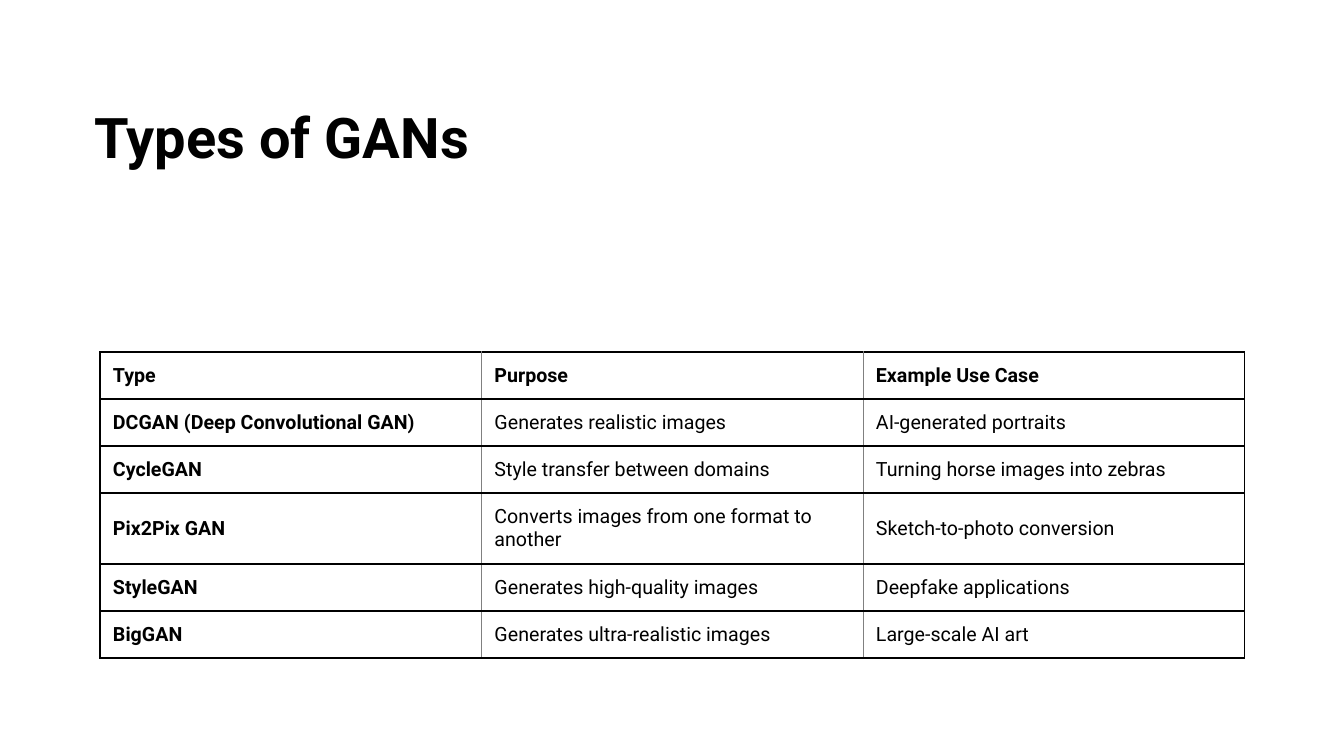
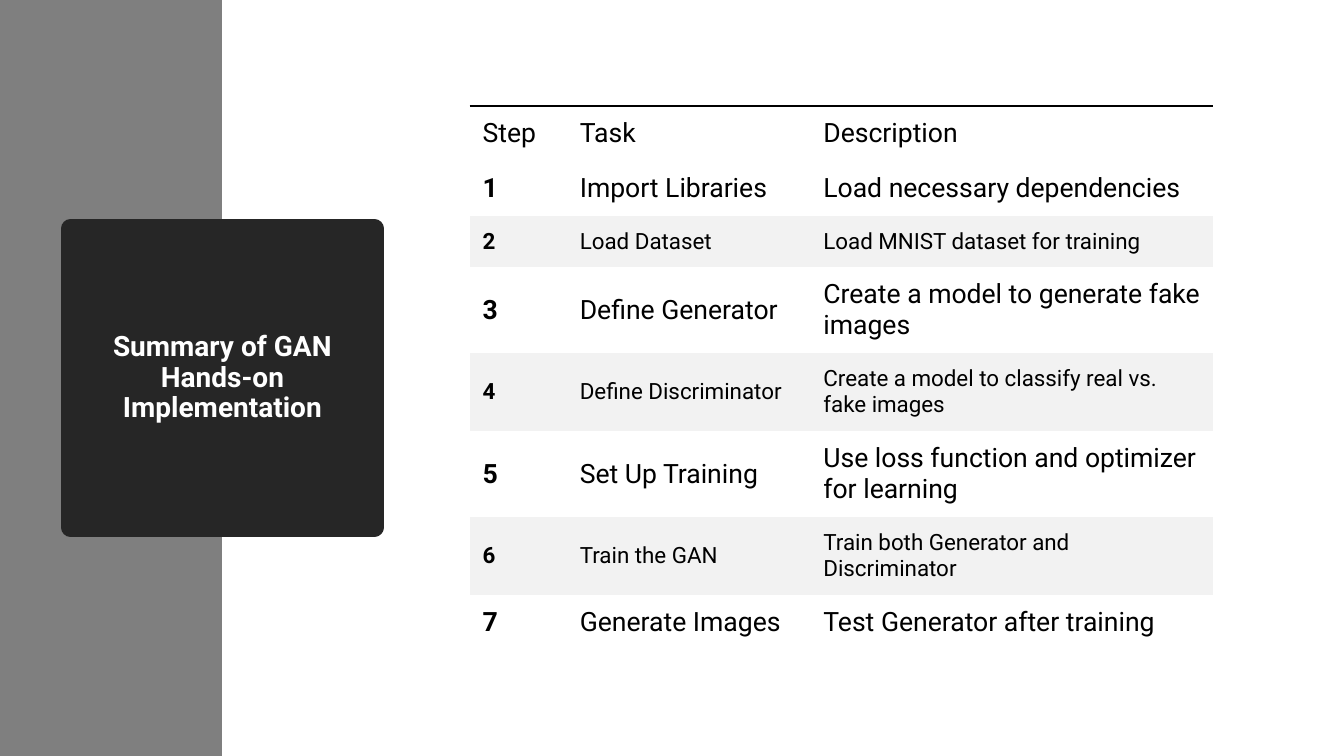
"""Build two slides about GANs: a table of types and a summary of steps."""
import pptx
import pptx.dml.color
import pptx.enum.shapes
import pptx.enum.text
import pptx.oxml
import pptx.oxml.ns
import pptx.util

Pt = pptx.util.Pt
hue = pptx.dml.color.RGBColor.from_string
MIDDLE = pptx.enum.text.MSO_ANCHOR.MIDDLE
RECT = pptx.enum.shapes.MSO_SHAPE.RECTANGLE
BLACK, WHITE, GREY = "000000", "FFFFFF", "808080"
BAND, DARK, SIDE = "F2F2F2", "262626", "7F7F7F"
FONT = "Roboto"


def write(frame, text, size, color, bold):
    """Fill a text frame with one styled paragraph and return it."""
    frame.text = text
    frame.word_wrap = True
    frame.vertical_anchor = MIDDLE
    line = frame.paragraphs[0]
    font = line.runs[0].font
    font.name, font.size, font.bold = FONT, Pt(size), bold
    font.color.rgb = hue(color)
    return line


def grid(page, data, spot, widths, heights, pads, look):
    """Add a table; look(row, col) gives size, bold, fill and borders."""
    left, top = spot
    table = page.shapes.add_table(
        len(data), len(widths), Pt(left), Pt(top),
        Pt(sum(widths)), Pt(sum(heights))).table
    table.first_row = table.horz_banding = False
    for col, width in zip(table.columns, widths):
        col.width = Pt(width)
    for row, height in zip(table.rows, heights):
        row.height = Pt(height)
    for r, texts in enumerate(data):
        for c, text in enumerate(texts):
            cell = table.cell(r, c)
            size, bold, fill, rims = look(r, c)
            write(cell.text_frame, text, size, BLACK, bold)
            cell.vertical_anchor = MIDDLE
            (cell.margin_left, cell.margin_top,
             cell.margin_right, cell.margin_bottom) = map(Pt, pads)
            cell.fill.solid()
            cell.fill.fore_color.rgb = hue(fill)
            props = cell._tc.get_or_add_tcPr()
            for i, side in enumerate("LRTB"):
                color, width = rims.get(side, (None, 0))
                paint = "<a:noFill/>"
                if color:
                    paint = f'<a:solidFill><a:srgbClr val="{color}"/></a:solidFill>'
                props.insert(i, pptx.oxml.parse_xml(
                    f'<a:ln{side} {pptx.oxml.ns.nsdecls("a")} w="{Pt(width)}">'
                    f'{paint}</a:ln{side}>'))


deck = pptx.Presentation()
deck.slide_width, deck.slide_height = Pt(960), Pt(540)
blank = deck.slide_layouts[6]
first, second = [deck.slides.add_slide(blank) for _ in range(2)]

blocks = []
for page, color, edge, box in [
        (first, WHITE, 0, (0, 0, 960, 200)),
        (second, SIDE, 0, (0, 0, 158.6, 540)),
        (second, DARK, 13.75, (50.4, 163.4, 217, 213.2))]:
    block = page.shapes.add_shape(RECT, *map(Pt, box))
    block.shadow.inherit = False
    block.fill.solid()
    block.fill.fore_color.rgb = hue(color)
    if edge:
        block.line.color.rgb = hue(color)
        block.line.width = Pt(edge)
    else:
        block.line.fill.background()
    blocks.append(block)

title = first.shapes.add_textbox(Pt(60.2), Pt(36.6), Pt(785), Pt(127.5))
line = write(title.text_frame, "Types of GANs", 40, BLACK, True)
line.line_spacing = 0.9

kinds = [
    ("Type", "Purpose", "Example Use Case"),
    ("DCGAN (Deep Convolutional GAN)", "Generates realistic images",
     "AI-generated portraits"),
    ("CycleGAN", "Style transfer between domains",
     "Turning horse images into zebras"),
    ("Pix2Pix GAN", "Converts images from one format to another",
     "Sketch-to-photo conversion"),
    ("StyleGAN", "Generates high-quality images", "Deepfake applications"),
    ("BigGAN", "Generates ultra-realistic images", "Large-scale AI art"),
]
thick, thin = (BLACK, 1.5), (GREY, 0.5)
grid(first, kinds, (71.4, 251.5), [272.5] * 3,
     [33.65, 33.65, 33.65, 50.4, 33.65, 33.65], (9.3, 7.2, 7.2, 7.2),
     lambda r, c: (14, r == 0 or c == 0, WHITE, {
         "L": thin if c else thick, "R": thin if c < 2 else thick,
         "T": thick, "B": thick}))

line = write(blocks[-1].text_frame, "Summary of GAN Hands-on Implementation",
             20, WHITE, True)
line.alignment = pptx.enum.text.PP_ALIGN.CENTER
line.line_spacing = 0.9

steps = [
    ("Step", "Task", "Description"),
    ("1", "Import Libraries", "Load necessary dependencies"),
    ("2", "Load Dataset", "Load MNIST dataset for training"),
    ("3", "Define Generator", "Create a model to generate fake images"),
    ("4", "Define Discriminator",
     "Create a model to classify real vs. fake images"),
    ("5", "Set Up Training", "Use loss function and optimizer for learning"),
    ("6", "Train the GAN", "Train both Generator and Discriminator"),
    ("7", "Generate Images", "Test Generator after training"),
]
plain = {0, 1, 3, 5, 7}
grid(second, steps, (335.4, 75.8), [69.4, 174, 288],
     [39.4, 39.4, 36.2, 61.6, 55.4, 61.6, 55.4, 39.4], (9.4, 6.5, 9, 6.5),
     lambda r, c: (19 if r in plain else 16, r > 0 and c == 0,
                   WHITE if r in plain else BAND,
                   {} if r else {"T": (BLACK, 2.25)}))

deck.save("out.pptx")
